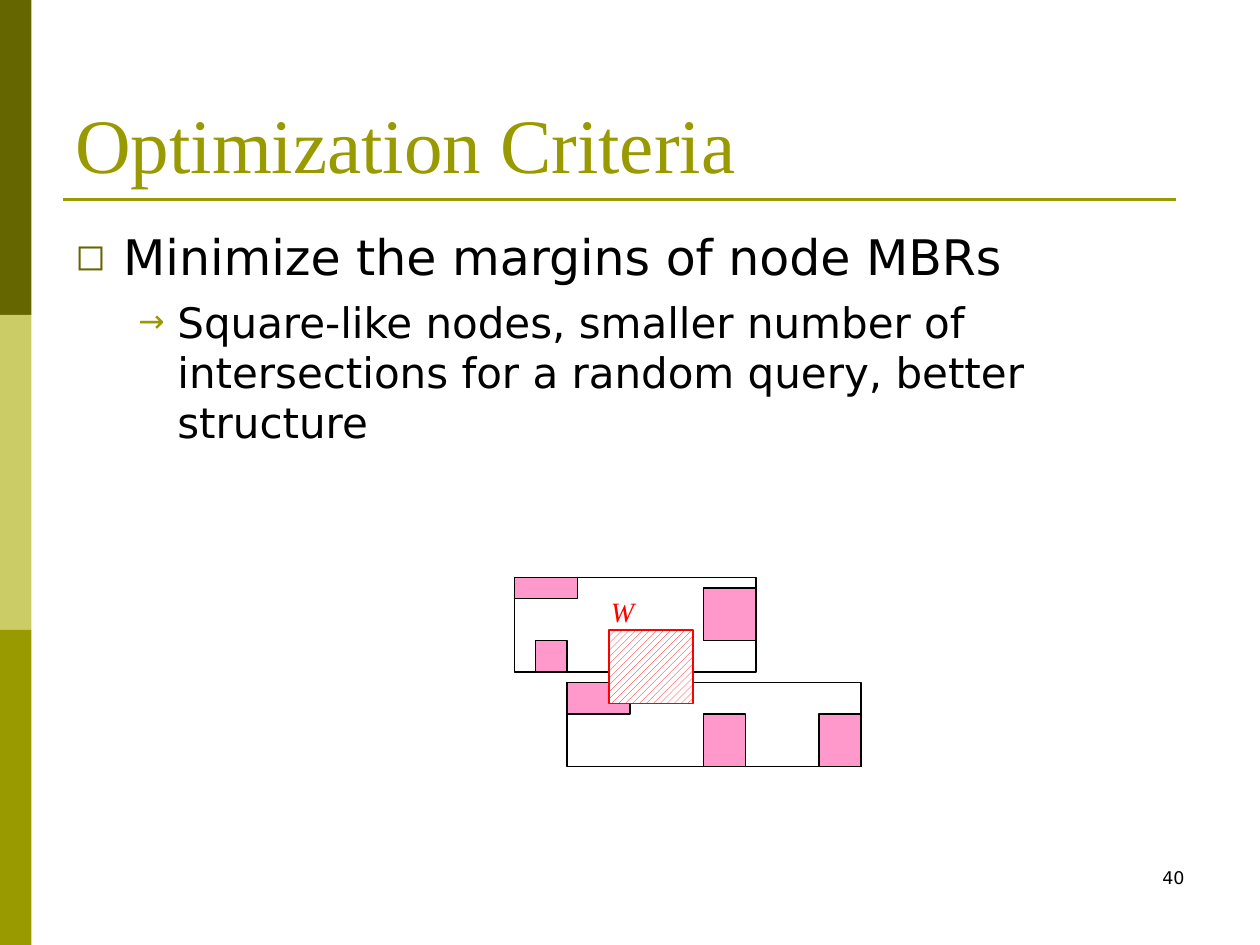
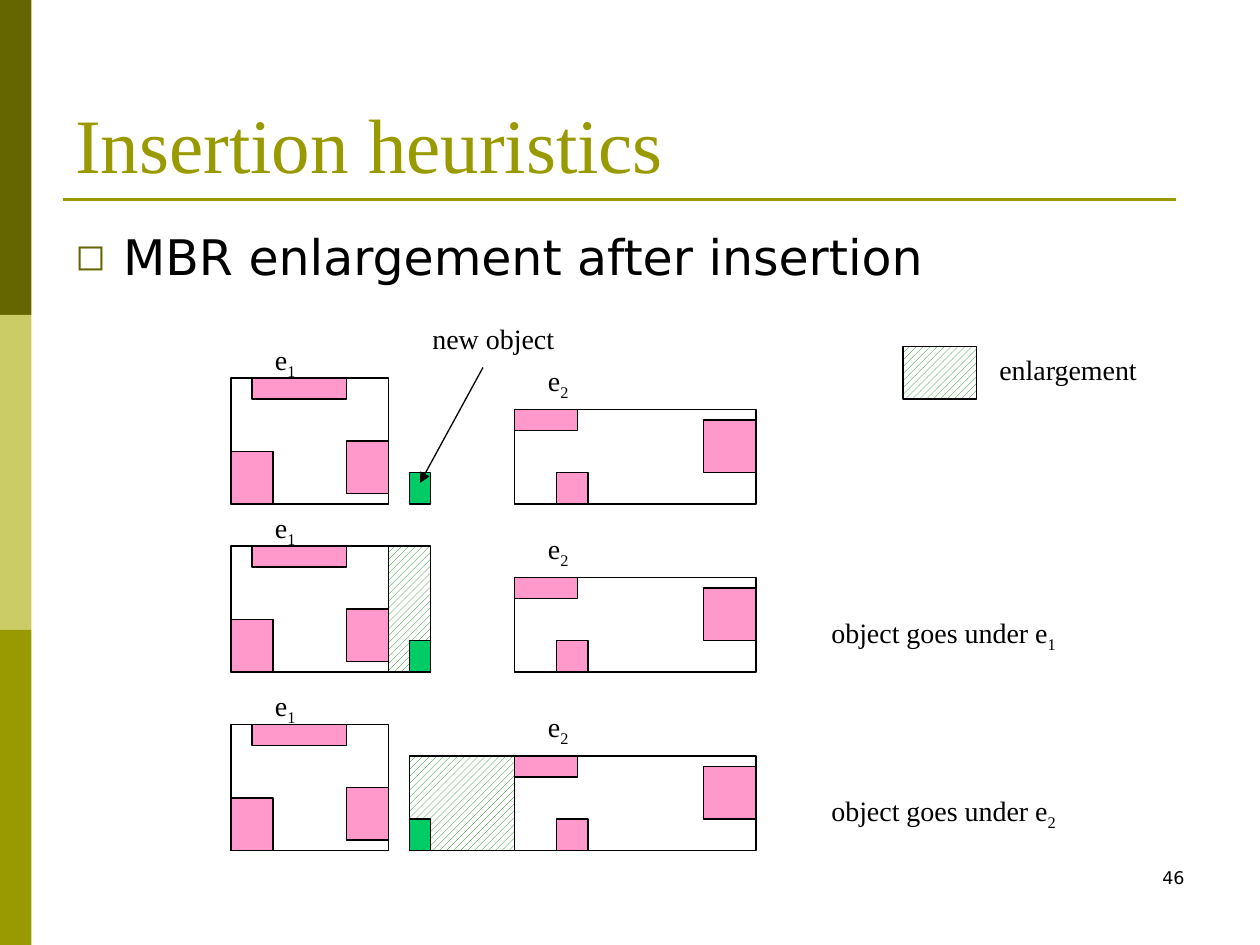
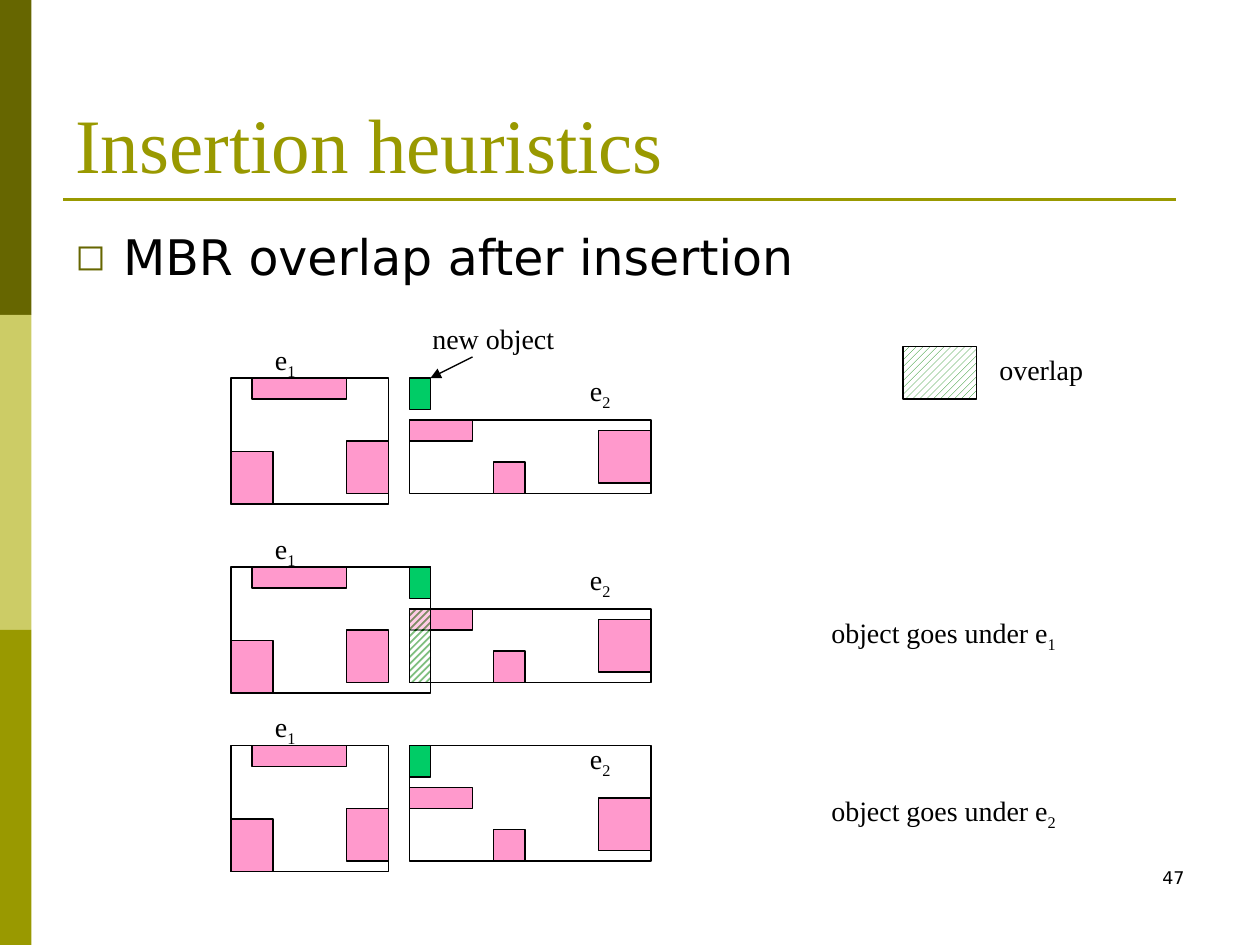
"""Build three slides on R-tree optimization criteria and insertion heuristics, on a grid of twelfths of an inch."""
from lxml.etree import SubElement
from pptx import Presentation
from pptx.dml.color import RGBColor
from pptx.enum.dml import MSO_PATTERN
from pptx.enum.shapes import MSO_CONNECTOR, MSO_SHAPE
from pptx.enum.text import MSO_ANCHOR, MSO_AUTO_SIZE, PP_ALIGN
from pptx.oxml.ns import qn
from pptx.util import Inches, Pt

rgb = RGBColor.from_string
DARK, LIGHT, OLIVE = "666600", "CCCC66", "999900"
BLACK, WHITE, RED = "000000", "FFFFFF", "FF0000"
PINK, NEW, HATCH = "FF99CC", "00CC66", "008000"
SERIF, SANS = "Times New Roman", "DejaVu Sans"


def add_box(s, x, y, w, h, fill=None, line=BLACK, hatch=None):
    sp = s.shapes.add_shape(MSO_SHAPE.RECTANGLE, *[Inches(v / 12) for v in (x, y, w, h)])
    sp.shadow.inherit = False
    if hatch:
        sp.fill.patterned()
        sp.fill.pattern = MSO_PATTERN.WIDE_UPWARD_DIAGONAL
        sp.fill.fore_color.rgb = rgb(hatch)
        sp.fill.back_color.rgb = rgb(WHITE)
    elif fill:
        sp.fill.solid()
        sp.fill.fore_color.rgb = rgb(fill)
    else:
        sp.fill.background()
    if line:
        sp.line.color.rgb = rgb(line)
        sp.line.width = Pt(0.75)
    else:
        sp.line.fill.background()
    return sp


def add_text(s, x, y, w, h, text, sub="", size=16, font=SERIF, color=BLACK, wrap=False):
    tb = s.shapes.add_textbox(*[Inches(v / 12) for v in (x, y, w, h)])
    tf = tb.text_frame
    tf.word_wrap = wrap
    tf.auto_size = MSO_AUTO_SIZE.NONE if wrap else MSO_AUTO_SIZE.SHAPE_TO_FIT_TEXT
    for part in filter(None, (text, sub)):
        r = tf.paragraphs[0].add_run()
        r.text = part
        r.font.size = Pt(size)
        r.font.name = font
        r.font.color.rgb = rgb(color)
    if sub:
        r.font._element.set("baseline", "-25000")
    return tf


prs = Presentation()
prs.slide_width, prs.slide_height = Inches(10), Inches(7.5)

levels = [("◻", DARK, 28, 0.38, 0.38, 0), ("→", OLIVE, 24, 0.81, 0.31, 6)]
pages = [
    ("Optimization Criteria", "40", [
        "Minimize the margins of node MBRs",
        "Square-like nodes, smaller number of intersections for a random query, better structure"]),
    ("Insertion heuristics", "46", ["MBR enlargement after insertion"]),
    ("Insertion heuristics", "47", ["MBR overlap after insertion"]),
]
for title, number, points in pages:
    s = prs.slides.add_slide(prs.slide_layouts[6])
    for i, color in enumerate((DARK, LIGHT, OLIVE)):
        add_box(s, 0, 30 * i, 3, 30, color, line=None)
    tf = add_text(s, 6, 3.6, 108, 15, title, size=44, color=OLIVE, wrap=True)
    tf.vertical_anchor = MSO_ANCHOR.BOTTOM
    tf = add_text(s, 6, 21, 108, 64, "", wrap=True)
    for i, (point, (char, color, size, left, hang, before)) in enumerate(zip(points, levels)):
        p = tf.add_paragraph() if i else tf.paragraphs[0]
        pPr = p._p.get_or_add_pPr()
        pPr.set("marL", str(Inches(left)))
        pPr.set("indent", str(-Inches(hang)))
        SubElement(SubElement(pPr, qn("a:buClr")), qn("a:srgbClr"), val=color)
        SubElement(pPr, qn("a:buSzPct"), val="75000")
        SubElement(pPr, qn("a:buFont"), typeface=SANS)
        SubElement(pPr, qn("a:buChar"), char=char)
        p.space_before = Pt(before)
        r = p.add_run()
        r.text = point
        r.font.size = Pt(size)
        r.font.name = SANS
        r.font.color.rgb = rgb(BLACK)
    tf = add_text(s, 86, 82, 28, 6, number, size=10, font=SANS, wrap=True)
    tf.paragraphs[0].alignment = PP_ALIGN.RIGHT

criteria, enlargement, overlap = prs.slides

nodes = [
    (49, 55, 23, 9, [(2, 6, 3, 3), (18, 1, 5, 5), (0, 0, 6, 2)]),
    (54, 65, 28, 8, [(13, 3, 4, 5), (24, 3, 4, 5), (0, 0, 6, 3)]),
]
for x, y, w, h, objects in nodes:
    add_box(criteria, x, y, w, h)
    for dx, dy, ow, oh in objects:
        add_box(criteria, x + dx, y + dy, ow, oh, PINK)
tf = add_text(criteria, 57, 56, 4.7, 4.4, "W", color=RED)
tf.paragraphs[0].runs[0].font.italic = True
add_box(criteria, 58, 60, 8, 7, line=RED, hatch=RED)

for x, y, w, h in [(37, 52, 4, 12), (39, 72, 10, 9)]:
    add_box(enlargement, x, y, w, h, hatch=HATCH)

e1_objects = [(0, 7, 4, 5), (11, 6, 4, 5), (2, 0, 9, 2)]
scenes = [
    (enlargement, "enlargement", 15.6, (36, 52, 69), 49, 3, 4, 6, 2, 9,
     [(15, 0, 9), (15, 0, 9), (15, 0, 9)]),
    (overlap, "overlap", 10.4, (36, 54, 71), 39, 4, 8, 4, 16, 0,
     [(15, 0, 7), (19, 0, 7), (15, 4, 11)]),
]
for s, legend, legend_w, rows, e2_x, drop, small_x, small_y, label_x, new_y, outlines in scenes:
    e2_objects = [(small_x, small_y, 3, 3), (18, 1, 5, 5), (0, 0, 6, 2)]
    for y, (e1_w, rise, e2_h) in zip(rows, outlines):
        e2_y = y + drop
        add_box(s, 22, y, e1_w, 12)
        add_box(s, e2_x, e2_y - rise, 23, e2_h)
        for x0, y0, objects in [(22, y, e1_objects), (e2_x, e2_y, e2_objects)]:
            for dx, dy, w, h in objects:
                add_box(s, x0 + dx, y0 + dy, w, h, PINK)
        add_box(s, 39, y + new_y, 2, 3, NEW)
        add_text(s, 25, y - 4, 4.5, 4.4, "e", "1")
        add_text(s, e2_x + label_x, e2_y - 5, 4.5, 4.4, "e", "2")
    add_text(s, 40, 30, 14, 4.4, "new object")
    add_box(s, 86, 33, 7, 5, hatch=HATCH)
    add_text(s, 94, 33, legend_w, 4.4, legend)
    for y, node in [(58, "1"), (75, "2")]:
        add_text(s, 78, y, 24, 4.4, "object goes under e", node)

shared = add_box(overlap, 39, 58, 2, 7, hatch=HATCH)
for color in shared._element.spPr.find(qn("a:pattFill")).iter(qn("a:srgbClr")):
    SubElement(color, qn("a:alpha"), val="50000")

rule = (6, 19, 112, 19, OLIVE, 1.5, False)
lines = [(s, *rule) for s in prs.slides] + [
    (enlargement, 46, 35, 40, 46, BLACK, 0.75, True),
    (overlap, 45, 34, 41, 36, BLACK, 0.75, True),
]
for s, x1, y1, x2, y2, color, width, arrow in lines:
    c = s.shapes.add_connector(MSO_CONNECTOR.STRAIGHT, *[Inches(v / 12) for v in (x1, y1, x2, y2)])
    c.line.color.rgb = rgb(color)
    c.line.width = Pt(width)
    spPr = c._element.spPr
    if arrow:
        SubElement(spPr.find(qn("a:ln")), qn("a:tailEnd"), type="triangle")
    SubElement(spPr, qn("a:effectLst"))

prs.save("out.pptx")
